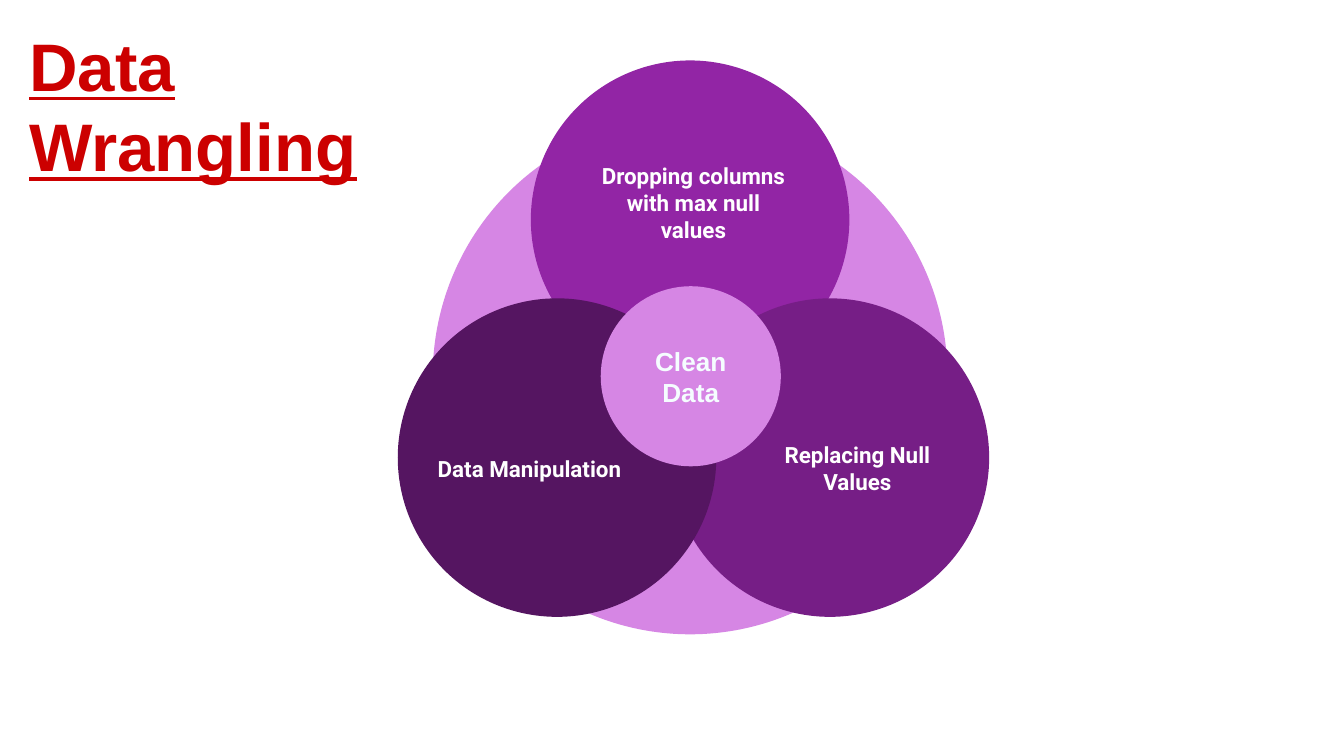
from pptx import Presentation
from pptx.dml.color import RGBColor
from pptx.enum.shapes import MSO_SHAPE as SHAPE
from pptx.enum.text import MSO_ANCHOR as ANCHOR, PP_ALIGN as ALIGN
from pptx.util import Inches, Pt

RED = RGBColor(0xCC, 0x00, 0x00)
WHITE = RGBColor(0xFF, 0xFF, 0xFF)
ICE = RGBColor(0xF5, 0xFD, 0xFF)
LILAC = RGBColor(0xD6, 0x86, 0xE4)
VIOLET = RGBColor(0x92, 0x25, 0xA5)
PURPLE = RGBColor(0x76, 0x1E, 0x86)
PLUM = RGBColor(0x55, 0x15, 0x61)

PETAL = 2.37
LABEL_W, LABEL_H = 1.64, 0.77
LINE_PITCH = 1.2

# text, colour, circle left and top, label left and top
PETALS = [
    ("Dropping columns with max null values", VIOLET, 3.95, 0.45, 4.34, 1.12),
    ("Replacing Null Values", PURPLE, 4.99, 2.22, 5.56, 3.1),
    ("Data Manipulation", PLUM, 2.96, 2.22, 3.12, 3.1),
]


def set_text(sp, text, size, font, color, align=ALIGN.CENTER,
             anchor=ANCHOR.MIDDLE, underline=None):
    """Write one bold paragraph with even insets and a fixed line pitch."""
    tf = sp.text_frame
    tf.text = text
    tf.word_wrap = True
    tf.vertical_anchor = anchor
    tf.margin_left = tf.margin_right = Inches(0.1)
    tf.margin_top = tf.margin_bottom = Inches(0.1)
    p = tf.paragraphs[0]
    p.alignment = align
    p.line_spacing = Pt(size * LINE_PITCH)
    f = p.runs[0].font
    f.name, f.size, f.bold, f.underline = font, Pt(size), True, underline
    f.color.rgb = color


def add_ellipse(shapes, left, top, width, height, color):
    sp = shapes.add_shape(SHAPE.OVAL, Inches(left), Inches(top),
                          Inches(width), Inches(height))
    sp.shadow.inherit = False
    sp.fill.solid()
    sp.fill.fore_color.rgb = color
    sp.line.fill.background()
    return sp


def add_textbox(shapes, left, top, width, height):
    return shapes.add_textbox(Inches(left), Inches(top),
                              Inches(width), Inches(height))


def add_petal(s, text, color, left, top, label_left, label_top):
    """Group a circle with its label."""
    group = s.shapes.add_group_shape()
    add_ellipse(group.shapes, left, top, PETAL, PETAL, color)
    label = add_textbox(group.shapes, label_left, label_top, LABEL_W, LABEL_H)
    set_text(label, text, 12, "Roboto", WHITE)


def main():
    prs = Presentation()
    prs.slide_width = Inches(10)
    prs.slide_height = Inches(10) * 9 // 16
    s = prs.slides.add_slide(prs.slide_layouts[6])

    title = add_textbox(s.shapes, 0.12, 0.08, 3.83, 0.63)
    set_text(title, "Data Wrangling", 36, "Arial", RED,
             ALIGN.LEFT, ANCHOR.TOP, underline=True)

    add_ellipse(s.shapes, 3.22, 0.87, 3.83, 3.85, LILAC)
    for petal in PETALS:
        add_petal(s, *petal)
    center = add_ellipse(s.shapes, 4.47, 2.13, 1.34, 1.34, LILAC)
    set_text(center, "Clean Data", 14, "Arial", ICE)

    prs.save("out.pptx")


if __name__ == "__main__":
    main()
